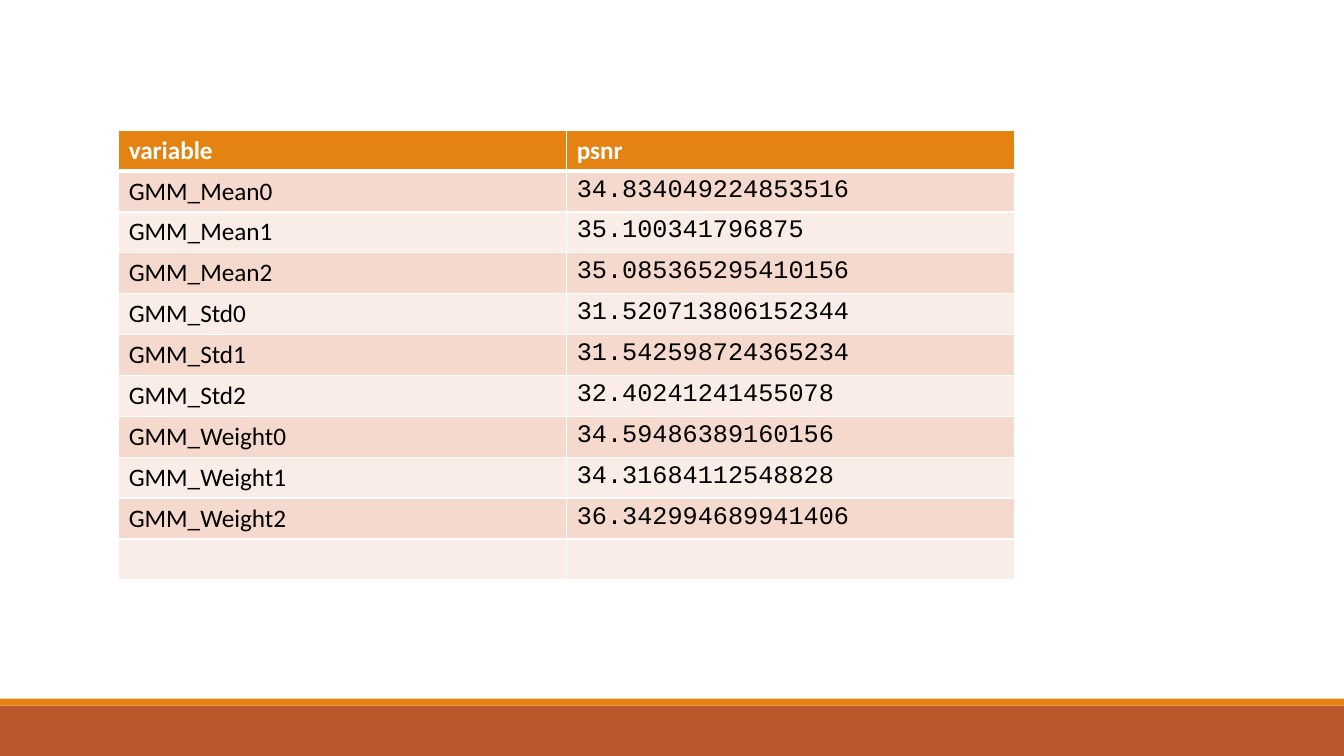
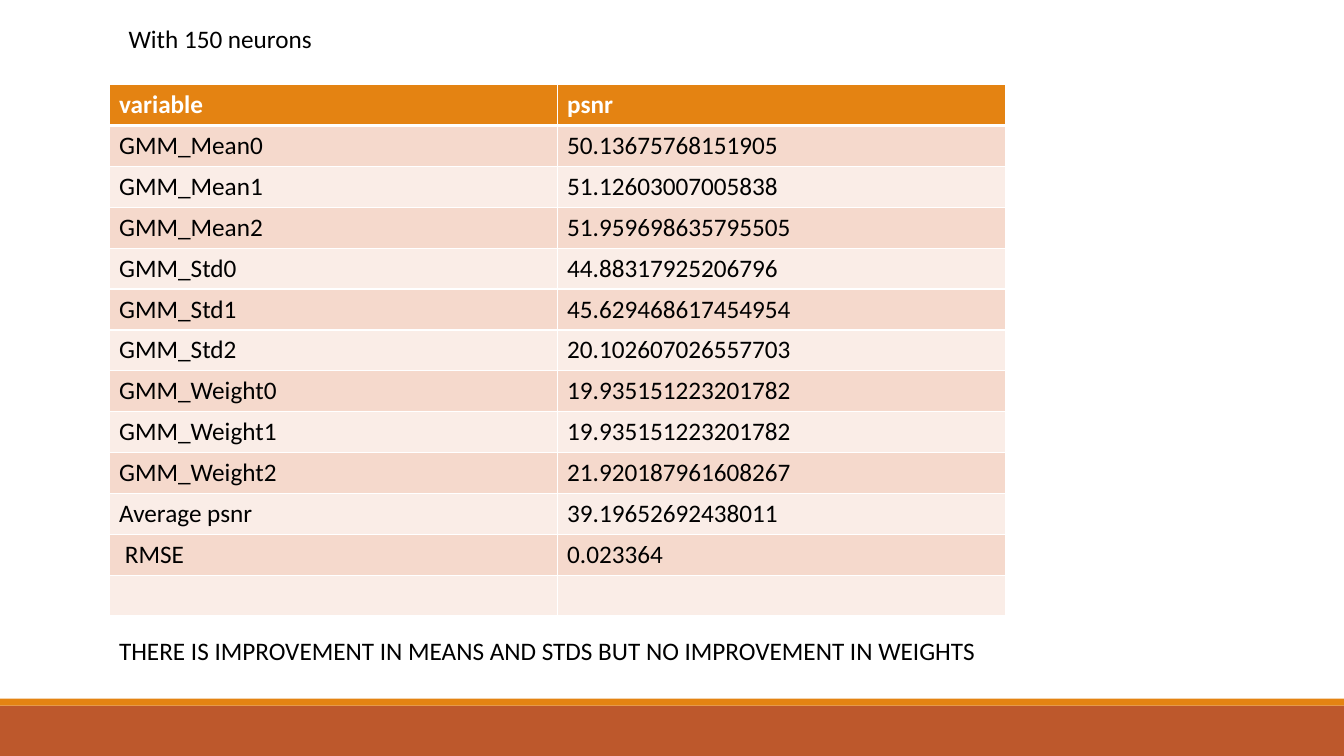
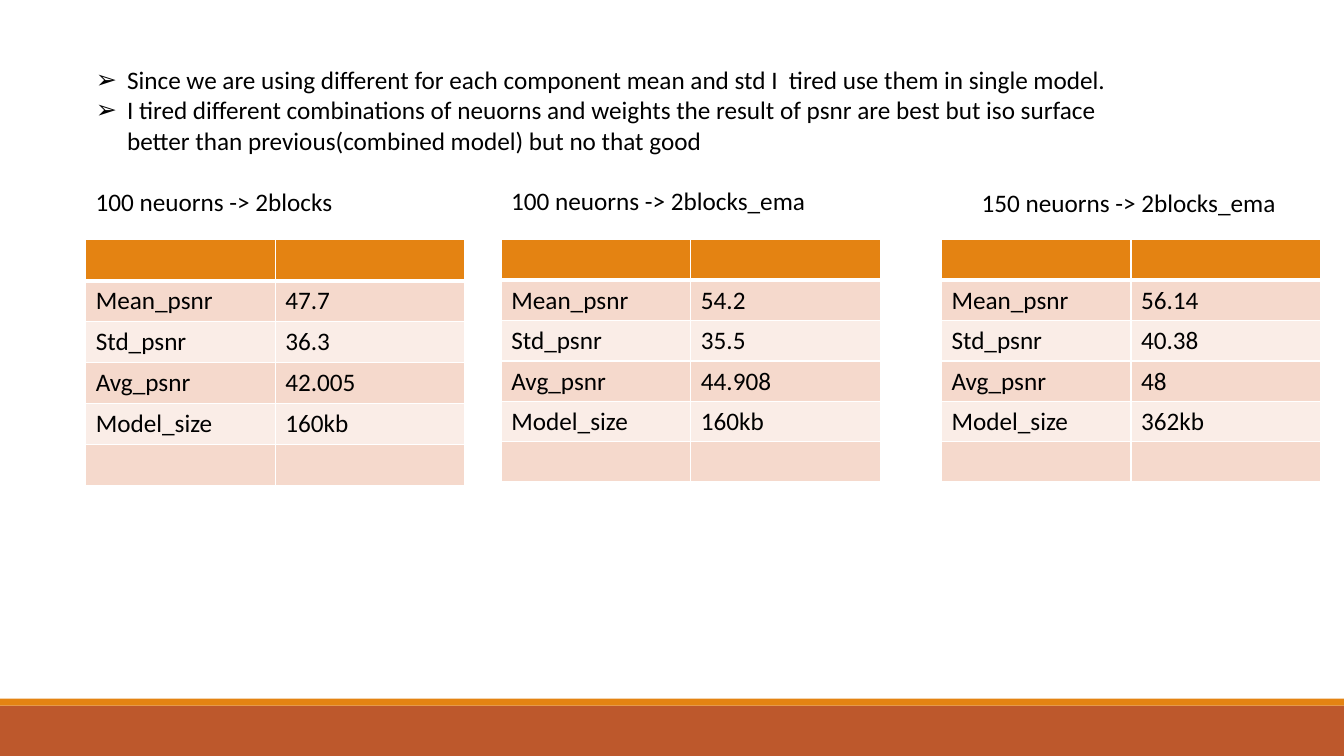
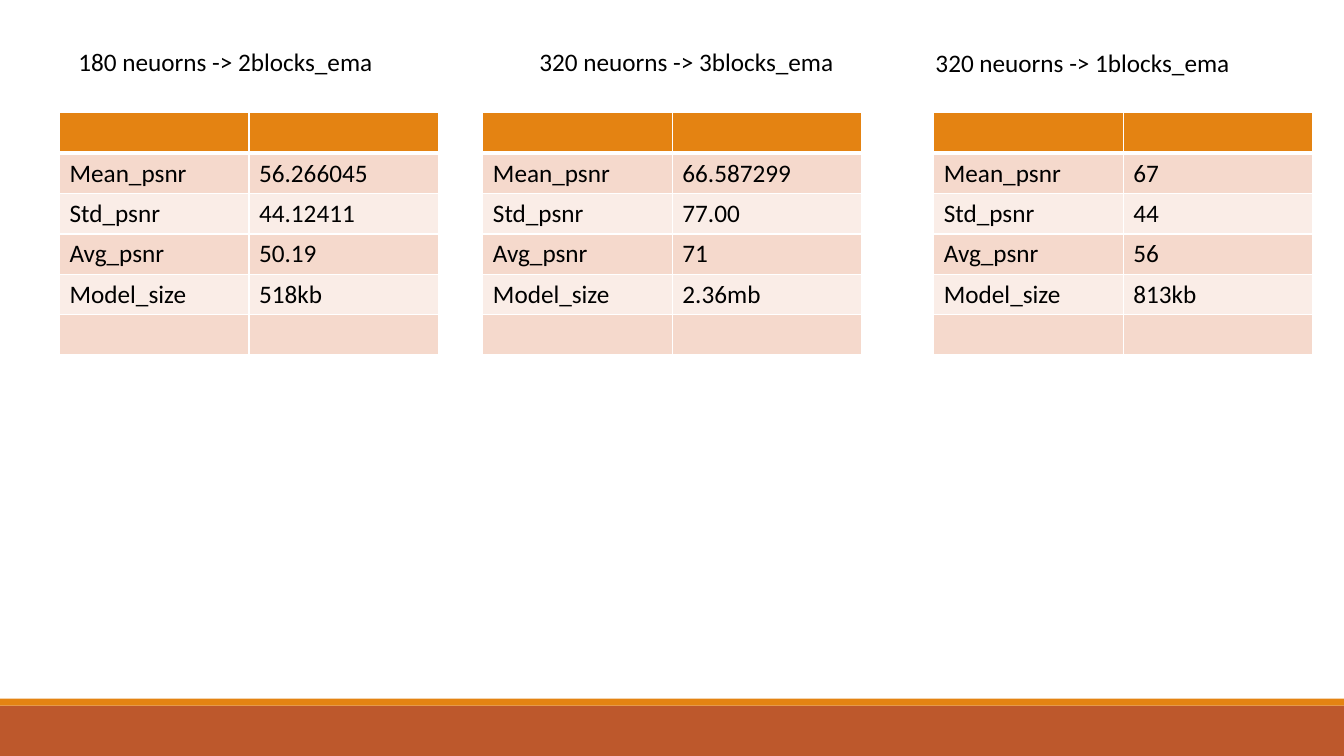
"""Build four slides of PSNR result tables for Gaussian mixture models."""
import lxml.etree
import pptx
import pptx.dml.color
import pptx.enum.shapes
import pptx.oxml.ns
import pptx.util

WIDTH, HEIGHT = 13.33, 7.5
FONT, MONO = "Calibri", "Courier New"
COLORS = {
    "text": "000000",
    "white": "FFFFFF",
    "header": "E48312",
    "footer": "BD582C",
    "odd": "F5D9CC",
    "even": "FAEDE7",
}
VARIABLES = [f"GMM_{name}{index}" for name in ("Mean", "Std", "Weight") for index in range(3)]
METRICS = ["Mean_psnr", "Std_psnr", "Avg_psnr", "Model_size"]
PSNR_FIRST = [
    "34.834049224853516", "35.100341796875", "35.085365295410156",
    "31.520713806152344", "31.542598724365234", "32.40241241455078",
    "34.59486389160156", "34.31684112548828", "36.342994689941406",
]
PSNR_150 = [
    "50.13675768151905", "51.12603007005838", "51.959698635795505",
    "44.88317925206796", "45.629468617454954", "20.102607026557703",
    "19.935151223201782", "19.935151223201782", "21.920187961608267",
]
FINDINGS = [
    "Since we are using different for each component mean and std I  tired use them in single model.",
    "I tired different combinations of neuorns and weights the result of psnr are best "
    "but iso surface better than previous(combined model) but no that good",
]
WIDE_TABLE, SMALL_TABLE = 66.67, 28.2
WIDE_ROW, SMALL_ROW = 5.41, 5.34
LABEL_WIDTH, LABEL_HEIGHT = 29.4, 5.33


def across(percent):
    """Return a percentage of the slide width as a length."""
    return pptx.util.Inches(WIDTH * percent / 100)


def down(percent):
    """Return a percentage of the slide height as a length."""
    return pptx.util.Inches(HEIGHT * percent / 100)


def box(left, top, width, height):
    """Return a rectangle given in percentages of the slide as lengths."""
    return across(left), down(top), across(width), down(height)


def color(name):
    """Return the named colour."""
    return pptx.dml.color.RGBColor.from_string(COLORS[name])


def write(paragraph, text, size=18, font=FONT, ink="text", bold=False):
    """Add formatted text to a paragraph."""
    run = paragraph.add_run()
    run.text = text
    run.font.size = pptx.util.Pt(size)
    run.font.name = font
    run.font.bold = bold
    run.font.color.rgb = color(ink)


def add_element(parent, tag, **attributes):
    """Append an XML element with attributes to its parent."""
    element = lxml.etree.SubElement(parent, pptx.oxml.ns.qn(tag))
    for name, value in attributes.items():
        element.set(name, str(value))
    return element


def add_label(slide, text, left, top, width=LABEL_WIDTH):
    """Add a one-line text box."""
    shape = slide.shapes.add_textbox(*box(left, top, width, LABEL_HEIGHT))
    shape.text_frame.word_wrap = True
    write(shape.text_frame.paragraphs[0], text)


def add_borders(cell, **widths):
    """Draw white cell borders with the given widths in points."""
    properties = cell._tc.get_or_add_tcPr()
    for side in ("L", "R", "T", "B"):
        line = add_element(properties, f"a:ln{side}", w=pptx.util.Pt(widths.get(side, 1)))
        add_element(add_element(line, "a:solidFill"), "a:srgbClr", val=COLORS["white"])


def add_table(slide, rows, left, top, width, row_height, value_font=FONT):
    """Add a two-column banded table that ends with an empty row."""
    rows = rows + [("", "")]
    frame = slide.shapes.add_table(len(rows), 2, *box(left, top, width, row_height * len(rows)))
    for row_index, row in enumerate(rows):
        header = row_index == 0
        fill = "header" if header else "odd" if row_index % 2 else "even"
        for column_index, text in enumerate(row):
            cell = frame.table.cell(row_index, column_index)
            add_borders(cell, B=3 if header else 1, T=3 if row_index == 1 else 1)
            cell.fill.solid()
            cell.fill.fore_color.rgb = color(fill)
            if text:
                font = value_font if column_index and not header else FONT
                write(cell.text_frame.paragraphs[0], text, font=font,
                      ink="white" if header else "text", bold=header)


def add_list(slide, items, left, top, width, height):
    """Fill the body placeholder with arrow-bulleted items."""
    body = slide.placeholders[1]
    body.left, body.top, body.width, body.height = box(left, top, width, height)
    frame = body.text_frame
    indent = pptx.util.Inches(0.31)
    for index, item in enumerate(items):
        paragraph = frame.add_paragraph() if index else frame.paragraphs[0]
        paragraph.space_before = pptx.util.Pt(0)
        properties = paragraph._p.get_or_add_pPr()
        properties.set("marL", str(indent))
        properties.set("indent", str(-indent))
        add_element(properties, "a:buChar", char="➢")
        write(paragraph, item)


def add_master_bands(presentation, slide):
    """Draw the footer bands and move them behind everything on the master."""
    tree = presentation.slide_master.shapes.element
    bands = [("footer", 93.33, 6.67), ("header", 92.4, 0.93)]
    for index, (fill, top, height) in enumerate(bands):
        band = slide.shapes.add_shape(
            pptx.enum.shapes.MSO_SHAPE.RECTANGLE, *box(0, top, 100, height))
        band.shadow.inherit = False
        band.fill.solid()
        band.fill.fore_color.rgb = color(fill)
        band.line.fill.background()
        band.element.nvSpPr.cNvPr.set("id", str(20 + index))
        tree.insert(2 + index, band.element)


def add_comparison(slide, top, experiments):
    """Add a labelled metrics table for each experiment."""
    for left, label, label_left, label_top, values in experiments:
        add_table(slide, [("", "")] + list(zip(METRICS, values)),
                  left, top, SMALL_TABLE, SMALL_ROW)
        add_label(slide, label, label_left, label_top)


def main():
    """Build and save the presentation."""
    presentation = pptx.Presentation()
    presentation.slide_width = pptx.util.Inches(WIDTH)
    presentation.slide_height = pptx.util.Inches(HEIGHT)
    blank = presentation.slide_layouts.get_by_name("Blank")
    content = presentation.slide_layouts.get_by_name("Title and Content")
    heading = [("variable", "psnr")]

    slide = presentation.slides.add_slide(blank)
    add_master_bands(presentation, slide)
    add_table(slide, heading + list(zip(VARIABLES, PSNR_FIRST)),
              8.83, 17.22, WIDE_TABLE, WIDE_ROW, value_font=MONO)

    slide = presentation.slides.add_slide(blank)
    summary = [("Average psnr", "39.19652692438011"), (" RMSE", "0.023364")]
    add_table(slide, heading + list(zip(VARIABLES, PSNR_150)) + summary,
              8.12, 11.2, WIDE_TABLE, WIDE_ROW)
    add_label(slide, "With 150 neurons", 8.83, 2.4)
    add_label(slide, "THERE IS IMPROVEMENT IN MEANS AND STDS BUT NO IMPROVEMENT IN WEIGHTS",
              8.12, 83.33, width=70.6)

    slide = presentation.slides.add_slide(content)
    slide.shapes.element.remove(slide.shapes.title.element)
    add_list(slide, FINDINGS, 6.38, 7.87, 80.65, 13.47)
    add_comparison(slide, 31.73, [
        (6.38, "100 neuorns -> 2blocks", 6.38, 24, ["47.7", "36.3", "42.005", "160kb"]),
        (37.3, "100 neuorns -> 2blocks_ema", 37.3, 23.87, ["54.2", "35.5", "44.908", "160kb"]),
        (70.05, "150 neuorns -> 2blocks_ema", 72.3, 24.13, ["56.14", "40.38", "48", "362kb"]),
    ])

    slide = presentation.slides.add_slide(blank)
    add_comparison(slide, 14.93, [
        (4.43, "180 neuorns -> 2blocks_ema", 5.1, 5.47,
         ["56.266045", "44.12411", "50.19", "518kb"]),
        (35.93, "320 neuorns -> 3blocks_ema", 39.4, 5.47,
         ["66.587299", "77.00", "71", "2.36mb"]),
        (69.48, "320 neuorns -> 1blocks_ema", 68.87, 5.6, ["67", "44", "56", "813kb"]),
    ])

    presentation.save("out.pptx")


if __name__ == "__main__":
    main()
